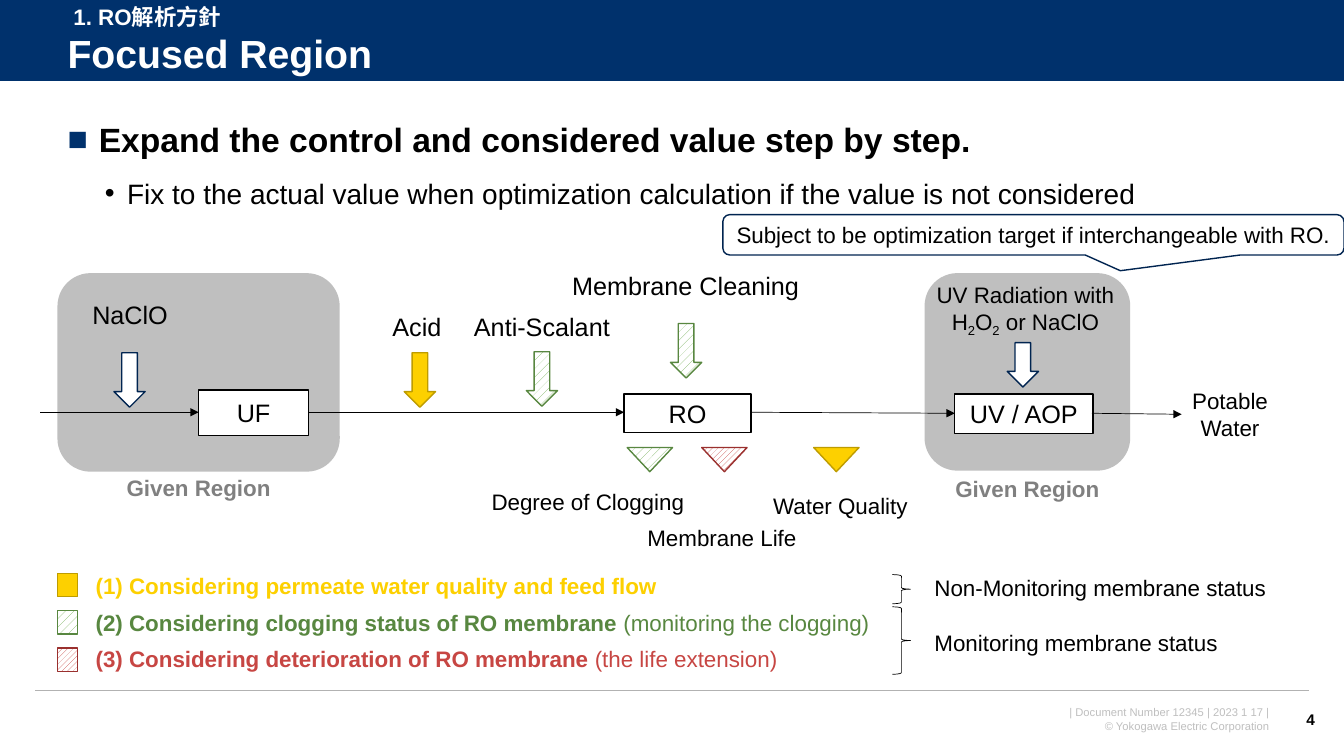
from dataclasses import dataclass
from typing import Any, NamedTuple, Optional

from lxml.etree import SubElement
from pptx import Presentation
from pptx.dml.color import RGBColor
from pptx.enum.dml import MSO_PATTERN
from pptx.enum.shapes import MSO_CONNECTOR, MSO_SHAPE
from pptx.enum.text import MSO_ANCHOR, MSO_AUTO_SIZE, PP_ALIGN
from pptx.oxml.ns import qn
from pptx.util import Emu, Pt

PX = 9144


@dataclass(frozen=True)
class Theme:
    font: str = "Arial"
    navy: str = "00316C"
    outline: str = "002450"
    white: str = "FFFFFF"
    black: str = "000000"
    region: str = "BFBFBF"
    muted: str = "808080"
    rule: str = "B2B2B2"
    yellow: str = "FDD000"
    yellow_edge: str = "BE9C00"
    green: str = "76B059"
    green_edge: str = "588740"
    red: str = "C74643"
    red_edge: str = "9A302E"
    title: int = 28
    lead: int = 24
    sub: int = 20
    label: int = 18
    note: int = 16
    number: int = 11
    footer: int = 8


T = Theme()


class Box(NamedTuple):
    x: int
    y: int
    w: int
    h: int


class Paint(NamedTuple):
    fill: Optional[str]
    edge: Optional[str] = None
    width: float = 1
    pattern: Any = None


class Run(NamedTuple):
    text: str
    bold: bool = False
    baseline: int = 0


class Label(NamedTuple):
    box: Box
    texts: list[Run]
    size: int = T.note
    color: str = T.black
    align: Any = PP_ALIGN.CENTER


class Item(NamedTuple):
    kind: Any
    box: Box
    paint: Paint
    text: str = ""
    size: int = T.label


class Line(NamedTuple):
    start: tuple[int, int]
    end: tuple[int, int]
    color: str = T.black
    width: float = 0.5
    arrow: bool = True


PLAIN = Paint(T.white, T.outline)
GREY = Paint(T.region)
NODE = Paint(T.white, T.black)
BRACE = Paint(None, T.black, 0.5)
QUALITY = Paint(T.yellow, T.yellow_edge)
CLOGGING = Paint(T.green, T.green_edge, pattern=MSO_PATTERN.PERCENT_20)
LIFE = Paint(T.red, T.red_edge, pattern=MSO_PATTERN.WIDE_UPWARD_DIAGONAL)

ARROW, MARKER = MSO_SHAPE.DOWN_ARROW, MSO_SHAPE.ISOSCELES_TRIANGLE
RECT, ROUND = MSO_SHAPE.RECTANGLE, MSO_SHAPE.ROUNDED_RECTANGLE
CALLOUT = MSO_SHAPE.ROUNDED_RECTANGULAR_CALLOUT
LEFT, RIGHT = PP_ALIGN.LEFT, PP_ALIGN.RIGHT

ITEMS = [
    Item(RECT, Box(0, 0, 1333, 81), Paint(T.navy)),
    Item(ROUND, Box(917, 271, 204, 196), GREY),
    Item(ROUND, Box(57, 271, 280, 197), GREY),
    Item(RECT, Box(197, 387, 109, 45), NODE, "UF"),
    Item(RECT, Box(619, 391, 126, 38), NODE, "RO"),
    Item(RECT, Box(947, 391, 137, 39), NODE, "UV / AOP"),
    *(Item(ARROW, Box(x, y, 31, h), paint) for x, y, h, paint in (
        (113, 350, 54, PLAIN), (401, 350, 54, QUALITY), (522, 349, 54, CLOGGING),
        (665, 321, 54, CLOGGING), (999, 340, 44, PLAIN))),
    *(Item(MARKER, Box(x, 444, 45, 24), paint) for x, paint in (
        (622, CLOGGING), (696, LIFE), (807, QUALITY))),
    *(Item(RECT, Box(57, 569 + 37 * i, 20, 23), paint)
      for i, paint in enumerate((QUALITY, CLOGGING, LIFE))),
    *(Item(MSO_SHAPE.RIGHT_BRACE, Box(885, y, 18, h), BRACE) for y, h in ((570, 29), (602, 67))),
    Item(CALLOUT, Box(717, 213, 616, 40), PLAIN,
         "Subject to be optimization target if interchangeable with RO.", T.note),
]

LINES = [
    Line((0, 81), (1333, 81), T.white, 0.75, False),
    Line((35, 685), (1298, 685), T.rule, 1, False),
    Line((40, 409), (197, 409)),
    Line((306, 409), (619, 409)),
    Line((745, 409), (947, 410)),
    Line((1083, 410), (1172, 411)),
]

LEGEND = [
    (T.yellow, [Run("(1) Considering permeate water quality and feed flow", True)]),
    (T.green_edge, [Run("(2) Considering clogging status of RO membrane ", True),
                    Run("(monitoring the clogging)")]),
    (T.red, [Run("(3) Considering deterioration of RO membrane ", True),
             Run("(the life extension)")]),
]

LABELS = [
    Label(Box(63, -2, 495, 37), [Run("1. RO解析方針", True)], color=T.white, align=LEFT),
    Label(Box(72, 292, 114, 40), [Run("NaClO")], T.label),
    Label(Box(326, 304, 175, 40), [Run("Acid")], T.label),
    Label(Box(459, 304, 157, 40), [Run("Anti-Scalant")], T.label),
    Label(Box(550, 263, 260, 40), [Run("Membrane Cleaning")], T.label),
    Label(Box(906, 274, 222, 64), [
        Run("UV Radiation with H"), Run("2", baseline=-25000), Run("O"),
        Run("2", baseline=-25000), Run(" or NaClO")]),
    Label(Box(1172, 379, 96, 64), [Run("Potable Water")]),
    Label(Box(477, 479, 212, 37), [Run("Degree of Clogging")]),
    Label(Box(622, 515, 188, 37), [Run("Membrane Life")]),
    Label(Box(754, 483, 159, 37), [Run("Water Quality")]),
    *(Label(Box(x, y, 180, 37), [Run("Given Region", True)], color=T.muted)
      for x, y in ((107, 465), (929, 466))),
    *(Label(Box(85, 563 + 36 * i, 802, 37), texts, color=color, align=LEFT)
      for i, (color, texts) in enumerate(LEGEND)),
    Label(Box(917, 565, 353, 37), [Run("Non-Monitoring membrane status")], align=LEFT),
    Label(Box(917, 619, 304, 37), [Run("Monitoring membrane status")], align=LEFT),
    Label(Box(1270, 700, 44, 30), [Run("4", True)], T.number, align=RIGHT),
]


def assign(target: Any, values: dict[str, Any]) -> None:
    for name, value in values.items():
        setattr(target, name, value)


def emu(values: tuple[int, ...]) -> list[Emu]:
    return [Emu(v * PX) for v in values]


def write(p: Any, texts: list[Run], size: int, color: str, align: Any) -> None:
    p.alignment = align
    for text in texts:
        r = p.add_run()
        r.text = text.text
        assign(r.font, {"name": T.font, "size": Pt(size), "bold": text.bold})
        r.font.color.rgb = RGBColor.from_string(color)
        if text.baseline:
            r.font._element.set("baseline", str(text.baseline))


def draw_item(s: Any, item: Item) -> None:
    sp = s.shapes.add_shape(item.kind, *emu(item.box))
    sp.shadow.inherit = False
    paint = item.paint
    if paint.fill is None:
        sp.fill.background()
    elif paint.pattern is not None:
        sp.fill.patterned()
        sp.fill.pattern = paint.pattern
        sp.fill.fore_color.rgb = RGBColor.from_string(paint.fill)
        sp.fill.back_color.rgb = RGBColor.from_string(T.white)
    else:
        sp.fill.solid()
        sp.fill.fore_color.rgb = RGBColor.from_string(paint.fill)
    if paint.edge is None:
        sp.line.fill.background()
    else:
        sp.line.color.rgb = RGBColor.from_string(paint.edge)
        sp.line.width = Pt(paint.width)
    if item.kind == MARKER:
        sp._element.spPr.xfrm.set("flipV", "1")
    if item.kind == CALLOUT:
        for i, value in enumerate((0.14, 0.89, 0.17)):
            sp.adjustments[i] = value
    if item.text:
        assign(sp.text_frame, {"word_wrap": True, "vertical_anchor": MSO_ANCHOR.MIDDLE})
        write(sp.text_frame.paragraphs[0], [Run(item.text)], item.size, T.black, PP_ALIGN.CENTER)


def draw_line(s: Any, line: Line) -> None:
    sp = s.shapes.add_connector(MSO_CONNECTOR.STRAIGHT, *emu(line.start + line.end))
    sp.line.color.rgb = RGBColor.from_string(line.color)
    sp.line.width = Pt(line.width)
    if line.arrow:
        SubElement(sp._element.spPr.find(qn("a:ln")), qn("a:tailEnd"), type="triangle")
    SubElement(sp._element.spPr, qn("a:effectLst"))


def draw_label(s: Any, label: Label) -> Any:
    tf = s.shapes.add_textbox(*emu(label.box)).text_frame
    tf.word_wrap = True
    write(tf.paragraphs[0], label.texts, label.size, label.color, label.align)
    return tf


def add_bullet(p: Any, char: str, color: str, left: int, hang: int) -> None:
    pPr = p._p.get_or_add_pPr()
    pPr.set("marL", str(left * PX))
    pPr.set("indent", str(-hang * PX))
    SubElement(SubElement(pPr, qn("a:buClr")), qn("a:srgbClr"), val=color)
    SubElement(pPr, qn("a:buFont"), typeface=T.font)
    SubElement(pPr, qn("a:buChar"), char=char)


def fill_placeholders(s: Any) -> None:
    title, body = s.shapes.title, s.placeholders[1]
    for sp, box, anchor in ((title, Box(57, 27, 1247, 57), MSO_ANCHOR.MIDDLE),
                            (body, Box(57, 117, 1240, 66), MSO_ANCHOR.TOP)):
        assign(sp, dict(zip(("left", "top", "width", "height"), emu(box))))
        assign(sp.text_frame, {"word_wrap": True, "auto_size": MSO_AUTO_SIZE.NONE,
                               "vertical_anchor": anchor})
        s.shapes._spTree.append(sp._element)
    p = title.text_frame.paragraphs[0]
    p.line_spacing = 0.9
    write(p, [Run("Focused Region", True)], T.title, T.white, LEFT)
    lead, sub = body.text_frame.paragraphs[0], body.text_frame.add_paragraph()
    assign(lead, {"line_spacing": 0.9, "space_before": Pt(0)})
    assign(sub, {"level": 1, "line_spacing": 1.0, "space_before": Pt(12)})
    add_bullet(lead, "■", T.navy, 31, 31)
    add_bullet(sub, "•", T.black, 59, 22)
    write(lead, [Run("Expand the control and considered value step by step.", True)],
          T.lead, T.black, LEFT)
    write(sub, [Run("Fix to the actual value when optimization calculation"
                    " if the value is not considered")], T.sub, T.black, LEFT)


def main() -> None:
    prs = Presentation()
    assign(prs, {"slide_width": Emu(1333 * PX), "slide_height": Emu(750 * PX)})
    s = prs.slides.add_slide(prs.slide_layouts[1])
    for item in ITEMS:
        draw_item(s, item)
    for line in LINES:
        draw_line(s, line)
    fill_placeholders(s)
    for label in LABELS:
        draw_label(s, label)
    footer = Label(Box(948, 695, 321, 37), [Run("| Document Number 12345 | 2023 1 17 |")],
                   T.footer, T.region, RIGHT)
    tf = draw_label(s, footer)
    write(tf.add_paragraph(), [Run("© Yokogawa Electric Corporation")],
          T.footer, T.region, RIGHT)
    prs.save("out.pptx")


if __name__ == "__main__":
    main()
